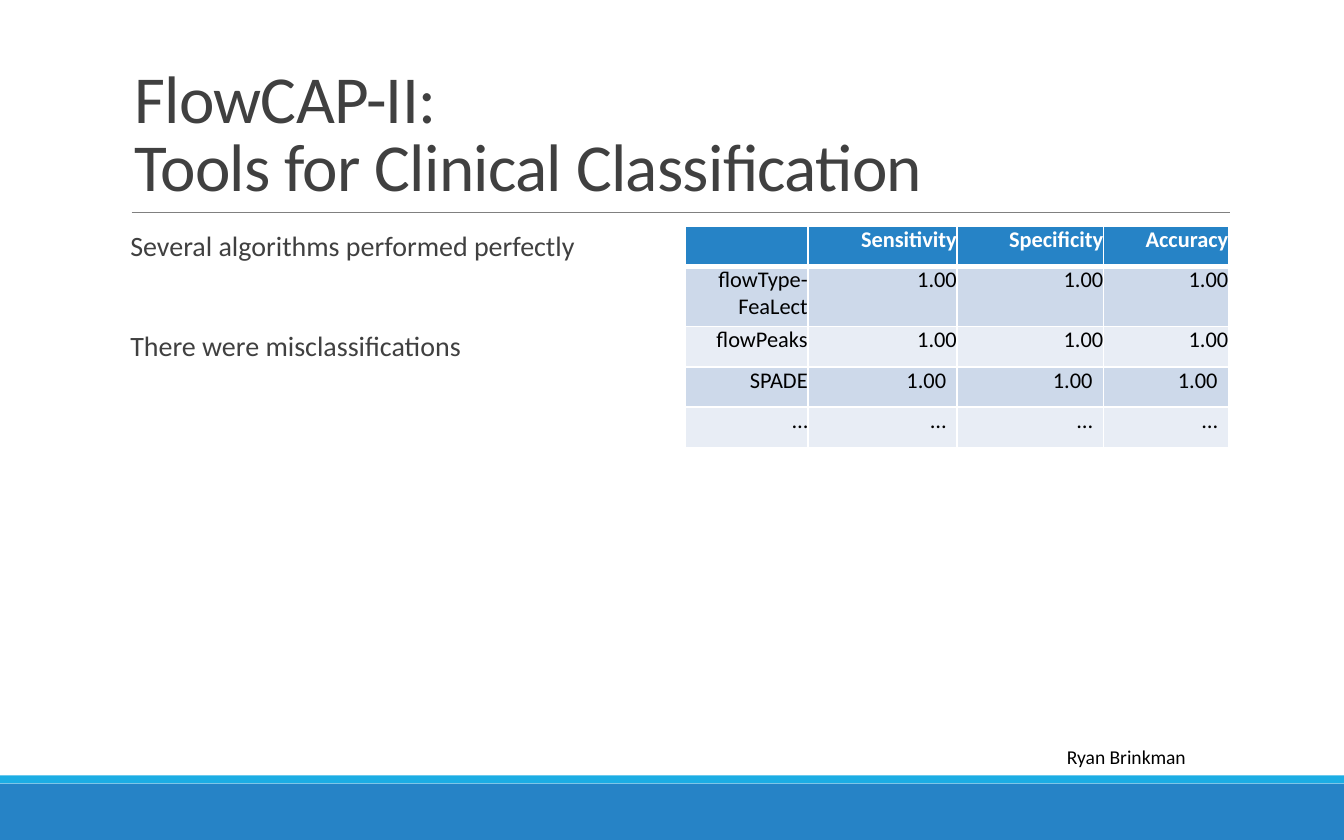
from lxml.etree import SubElement
from pptx import Presentation
from pptx.dml.color import RGBColor
from pptx.enum.shapes import MSO_CONNECTOR, MSO_SHAPE
from pptx.enum.text import MSO_ANCHOR, MSO_AUTO_SIZE, PP_ALIGN
from pptx.oxml.ns import qn
from pptx.util import Inches, Pt

BLUE = RGBColor(0x26, 0x83, 0xC6)
SKY = RGBColor(0x1C, 0xAD, 0xE4)
GRAY = RGBColor(0x80, 0x80, 0x80)
DARK = RGBColor(0x40, 0x40, 0x40)
BLACK = RGBColor(0, 0, 0)
WHITE = RGBColor(0xFF, 0xFF, 0xFF)
BAND_DARK = RGBColor(0xCD, 0xD9, 0xEA)
BAND_LIGHT = RGBColor(0xE8, 0xED, 0xF5)

RESULTS = [
    ["", "Sensitivity", "Specificity", "Accuracy"],
    ["flowType-FeaLect", "1.00", "1.00", "1.00"],
    ["flowPeaks", "1.00", "1.00", "1.00"],
    ["SPADE", "1.00", "1.00", "1.00"],
    ["…", "…", "…", "…"],
]
COLUMN_WIDTHS = [0.91, 1.11, 1.09, 0.93]
ROW_HEIGHTS = [0.3, 0.45, 0.3, 0.3, 0.3]
INDENTED_ROWS = (3, 4)


def set_attributes(target, values):
    for name, value in values.items():
        setattr(target, name, value)


def place(shape, left, top, width, height):
    set_attributes(shape, {"left": Inches(left), "top": Inches(top),
                           "width": Inches(width), "height": Inches(height)})


def format_font(font, size, color, bold=False):
    set_attributes(font, {"name": "Calibri", "size": Pt(size), "bold": bold})
    font.color.rgb = color


def add_band(slide, top, height, color):
    band = slide.shapes.add_shape(MSO_SHAPE.RECTANGLE, 0, Inches(top),
                                  Inches(10), Inches(height))
    band.shadow.inherit = False
    band.fill.solid()
    band.fill.fore_color.rgb = color
    band.line.fill.background()


def add_rule(slide, left, right, y):
    rule = slide.shapes.add_connector(MSO_CONNECTOR.STRAIGHT, Inches(left),
                                      Inches(y), Inches(right), Inches(y))
    rule.line.color.rgb = GRAY
    rule.line.width = Pt(0.5)
    SubElement(rule._element.spPr, qn("a:effectLst"))


def fill_title(title, text):
    place(title, 0.9, 0.26, 8.25, 1.32)
    set_attributes(title.text_frame, {
        "text": text, "vertical_anchor": MSO_ANCHOR.BOTTOM,
        "auto_size": MSO_AUTO_SIZE.NONE, "word_wrap": True})
    paragraph = title.text_frame.paragraphs[0]
    set_attributes(paragraph, {"alignment": PP_ALIGN.LEFT, "line_spacing": 0.85})
    for run in paragraph.runs:
        format_font(run.font, 36, DARK)
        run.font._element.set("spc", "-40")


def fill_findings(body, findings):
    place(body, 0.9, 1.68, 4.05, 3.67)
    frame = body.text_frame
    set_attributes(frame, {
        "text": "\n".join(findings), "margin_left": 0, "margin_right": 0,
        "auto_size": MSO_AUTO_SIZE.NONE, "word_wrap": True})
    for index, paragraph in enumerate(frame.paragraphs):
        set_attributes(paragraph, {"line_spacing": 0.9, "space_after": Pt(1.5),
                                   "space_before": Pt(36 if index else 0)})
        properties = paragraph._p.get_or_add_pPr()
        properties.set("marL", str(Inches(0.07)))
        properties.set("indent", "0")
        SubElement(properties, qn("a:buNone"))
        format_font(paragraph.runs[0].font, 15, DARK)


def add_borders(cell, top, bottom):
    properties = cell._tc.get_or_add_tcPr()
    for side, width in (("L", 1), ("R", 1), ("T", top), ("B", bottom)):
        border = SubElement(properties, qn(f"a:ln{side}"), w=str(Pt(width)))
        fill = SubElement(border, qn("a:solidFill"))
        SubElement(fill, qn("a:srgbClr"), val=str(WHITE))


def fill_cell(cell, text, row, column):
    header = row == 0
    indented = row in INDENTED_ROWS and column > 0
    set_attributes(cell, {
        "text": text, "margin_left": 0, "margin_top": 0, "margin_bottom": 0,
        "margin_right": Inches(0.08 if indented else 0)})
    add_borders(cell, 3 if row == 1 else 1, 3 if header else 1)
    cell.fill.solid()
    cell.fill.fore_color.rgb = (
        BLUE if header else BAND_DARK if row % 2 else BAND_LIGHT)
    paragraph = cell.text_frame.paragraphs[0]
    paragraph.alignment = PP_ALIGN.RIGHT
    format_font(paragraph.font, 12, WHITE if header else BLACK, header)
    for run in paragraph.runs:
        format_font(run.font, 12, WHITE if header else BLACK, header)


def add_results_table(slide):
    table = slide.shapes.add_table(
        len(RESULTS), len(COLUMN_WIDTHS), Inches(5.1), Inches(1.68),
        Inches(sum(COLUMN_WIDTHS)), Inches(sum(ROW_HEIGHTS))).table
    for column, width in zip(table.columns, COLUMN_WIDTHS):
        column.width = Inches(width)
    for row, height in zip(table.rows, ROW_HEIGHTS):
        row.height = Inches(height)
    for row, values in enumerate(RESULTS):
        for column, text in enumerate(values):
            fill_cell(table.cell(row, column), text, row, column)


def add_credit(slide, name):
    credit = slide.shapes.add_textbox(Inches(7.84), Inches(5.49),
                                      Inches(1.21), Inches(0.28))
    set_attributes(credit.text_frame, {
        "text": name, "word_wrap": False,
        "auto_size": MSO_AUTO_SIZE.SHAPE_TO_FIT_TEXT})
    format_font(credit.text_frame.paragraphs[0].runs[0].font, 10.5, BLACK)


def main():
    presentation = Presentation()
    set_attributes(presentation, {"slide_width": Inches(10),
                                  "slide_height": Inches(6.25)})
    slide = presentation.slides.add_slide(presentation.slide_layouts[1])

    # Footer bands and the rule under the title
    add_band(slide, 5.83, 0.42, BLUE)
    add_band(slide, 5.77, 0.06, SKY)
    add_rule(slide, 0.98, 9.15, 1.58)

    # Title and findings
    fill_title(slide.shapes.title,
               "FlowCAP-II:\vTools for Clinical Classification")
    fill_findings(slide.placeholders[1], [
        "Several algorithms performed perfectly",
        "There were misclassifications"])

    # Results and credit
    add_results_table(slide)
    add_credit(slide, "Ryan Brinkman")
    presentation.save("out.pptx")


if __name__ == "__main__":
    main()
